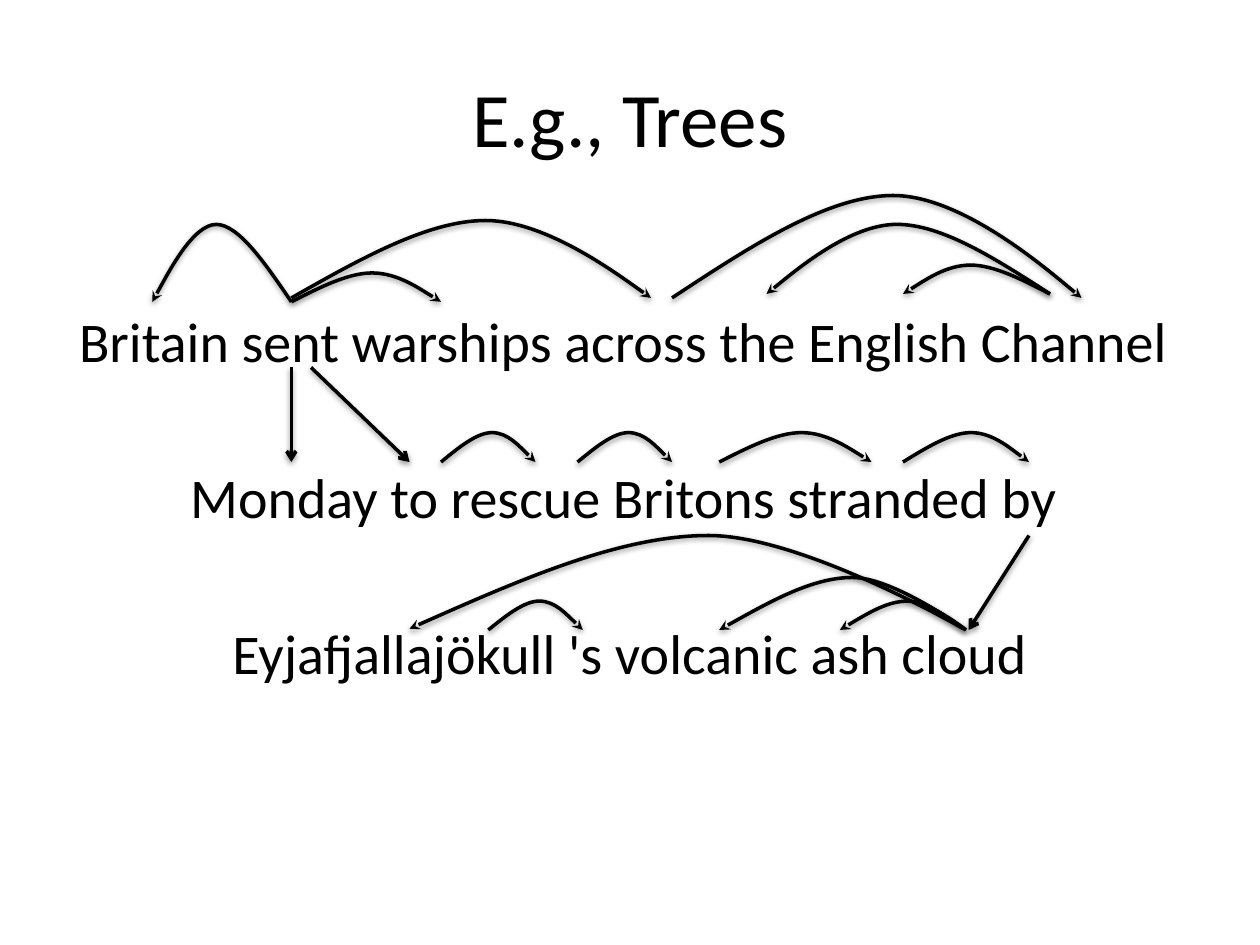
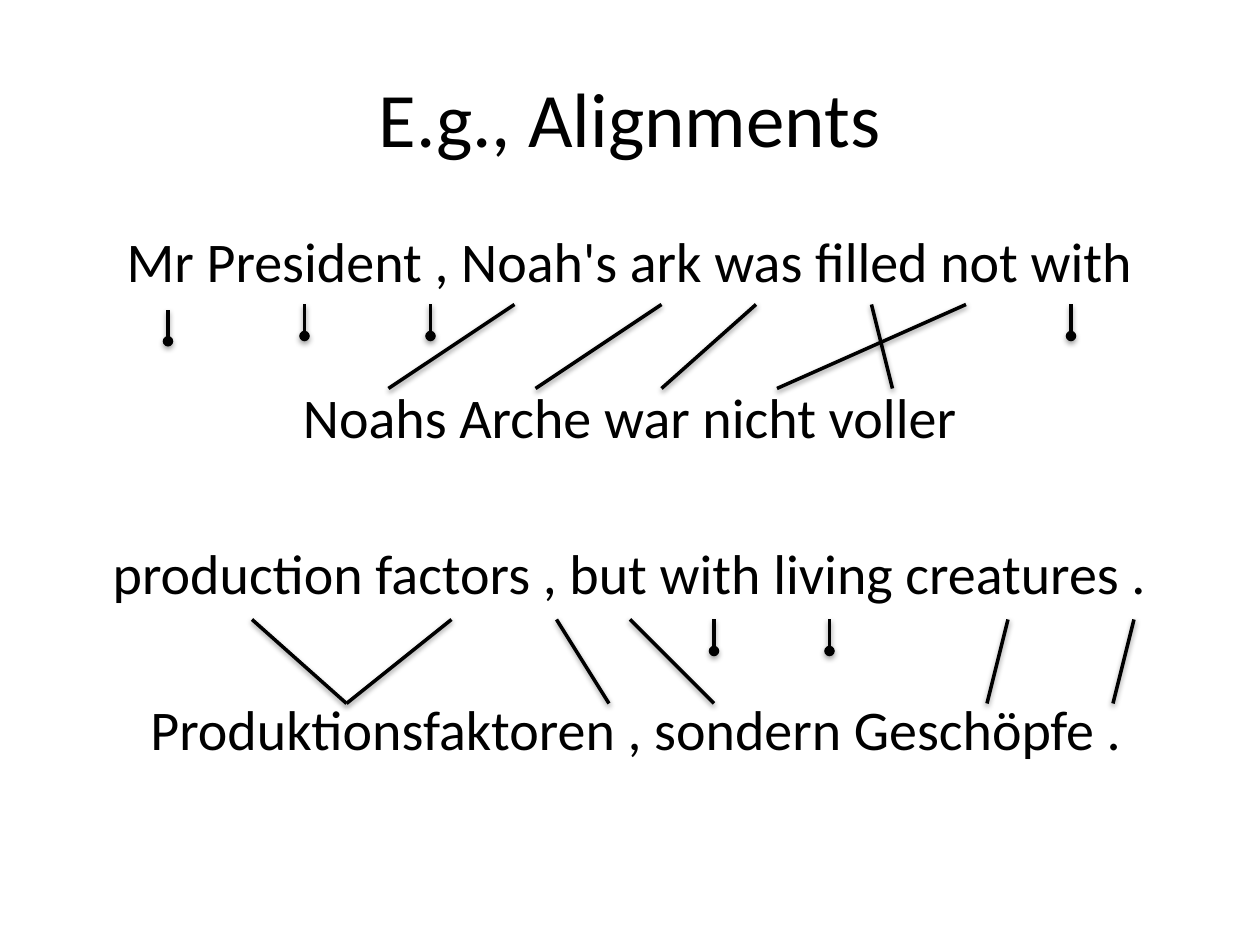
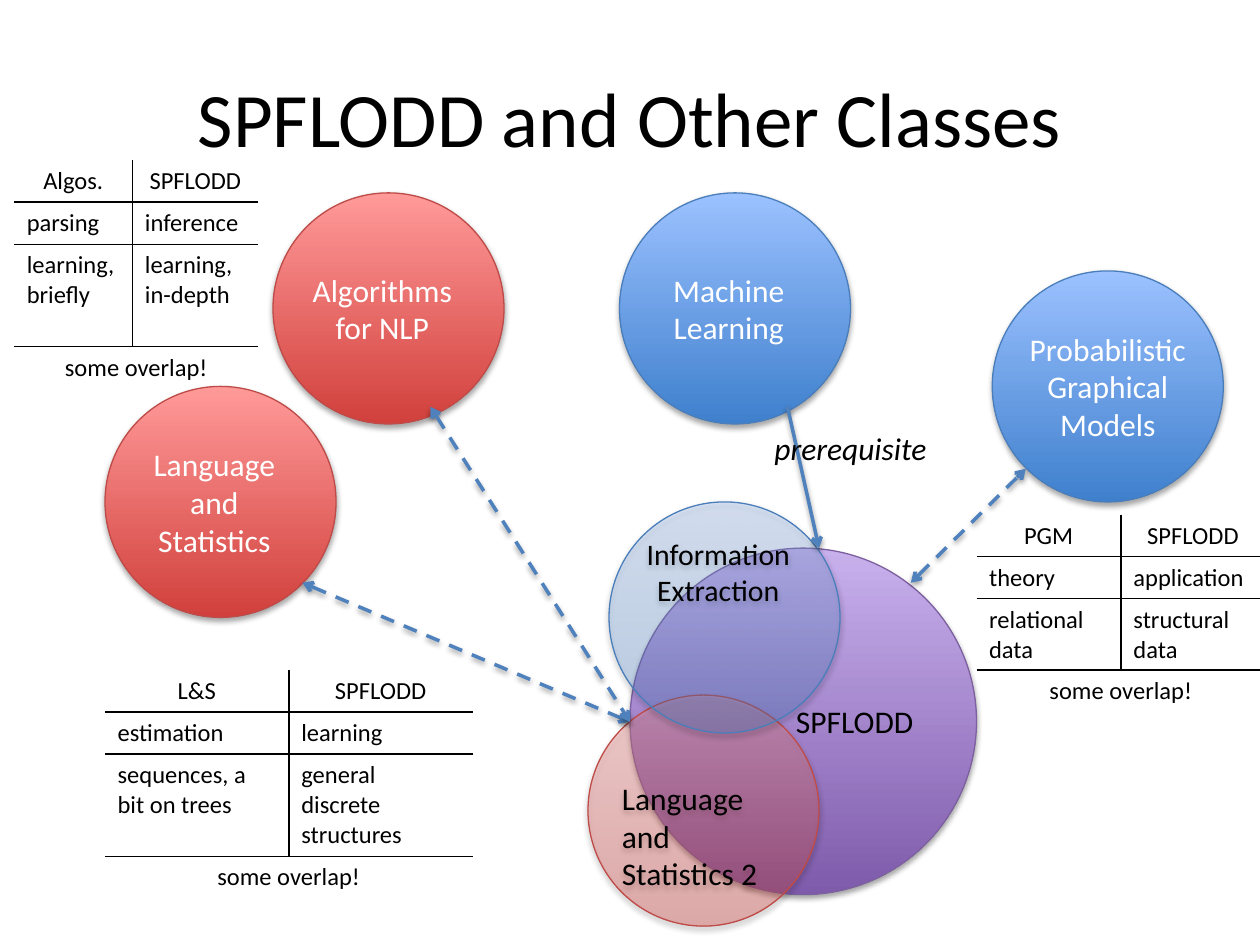
from typing import NamedTuple, Optional, Sequence

from pptx import Presentation
from pptx.dml.color import RGBColor
from pptx.enum.dml import MSO_LINE_DASH_STYLE as Dash
from pptx.enum.shapes import MSO_CONNECTOR as Connector, MSO_SHAPE as Preset
from pptx.enum.text import MSO_ANCHOR as Anchor, PP_ALIGN as Align
from pptx.oxml.ns import qn
from pptx.oxml.xmlchemy import OxmlElement
from pptx.util import Emu, Inches, Pt

SLIDE_WIDTH, SLIDE_HEIGHT = Inches(10), Inches(7.5)
COLUMNS = 240  # square grid: 240 columns by 180 rows
UNIT = SLIDE_WIDTH / COLUMNS

FONT = "Calibri"
BLACK = RGBColor(0x00, 0x00, 0x00)
WHITE = RGBColor(0xFF, 0xFF, 0xFF)
ARROW_BLUE = RGBColor(0x4F, 0x81, 0xBD)
NO_STYLE_TABLE = "{2D5ABB26-0587-4C30-8999-92F81FD0307C}"
LINE_SHADOW = (20000, 38)  # distance in EMU, opacity in percent
DISC_SHADOW = (23000, 35)
SENTENCE_GAP = Pt(50.65)


class Palette(NamedTuple):
    top: RGBColor
    bottom: RGBColor
    outline: RGBColor


RED = Palette(RGBColor(0xFF, 0x9A, 0x99), RGBColor(0xD1, 0x40, 0x3C), RGBColor(0xBE, 0x4B, 0x48))
BLUE = Palette(RGBColor(0x9B, 0xC1, 0xFF), RGBColor(0x3F, 0x80, 0xCD), RGBColor(0x4A, 0x7E, 0xBB))
PURPLE = Palette(RGBColor(0xC8, 0xB0, 0xED), RGBColor(0x7F, 0x5B, 0xAB), RGBColor(0x7D, 0x60, 0xA0))


class Line(NamedTuple):
    start: tuple[float, float]
    end: tuple[float, float]
    head: Optional[str] = None
    tail: Optional[str] = None
    color: RGBColor = BLACK
    dashed: bool = False


class Arc(NamedTuple):
    start: float
    end: float
    base: float
    top: float
    head: Optional[str] = None
    tail: Optional[str] = "stealth"


class Disc(NamedTuple):
    text: str
    left: float
    top: float
    palette: Palette
    diameter: float = 44
    color: RGBColor = WHITE
    size: float = 18
    align: Align = Align.CENTER
    anchor: Anchor = Anchor.MIDDLE
    right_inset: float = 2.4
    opacity: Optional[int] = None


class Comparison(NamedTuple):
    left: float
    top: float
    widths: tuple[float, float]
    detail_height: float
    rows: tuple[tuple[str, str], ...]


TREE_SENTENCES = (
    "Britain sent warships across the English Channel ",
    "Monday to rescue Britons stranded by ",
    "Eyjafjallajökull 's volcanic ash cloud",
)
TREE_ARCS = (
    Arc(55.5, 29, 57.5, 42.75),
    Arc(55.5, 84, 57.5, 52),
    Arc(55.5, 124, 56.75, 42),
    Arc(128, 206, 56.75, 37.25),
    Arc(200, 172, 56, 50.5),
    Arc(200, 146, 56, 42.75),
    *(Arc(start, end, 88, 82.4)
      for start, end in ((84, 102), (110, 128), (137, 166), (172, 196))),
    Arc(160, 184, 120, 114.5, "stealth", None),
    Arc(137, 184, 120, 110, "stealth", None),
    Arc(78, 183.5, 119.75, 102, "stealth", None),
    Arc(93, 111, 120, 114.5),
)
TREE_ARROWS = (
    Line((55.5, 70), (55.5, 88), tail="arrow"),
    Line((59.25, 70), (78, 88), tail="arrow"),
    Line((196, 102), (184.5, 120), tail="arrow"),
)

ALIGNMENT_SENTENCES = (
    "Mr President , Noah's ark was filled not with",
    "Noahs Arche war nicht voller",
    "production factors , but with living creatures .",
    " Produktionsfaktoren , sondern Geschöpfe .",
)
# Upper row of each sentence pair: (German column, English column) of its links
WORD_LINKS = {
    58: ((74, 98), (102, 126), (126, 144), (148, 184), (170, 166)),
    118: ((66, 48), (66, 86), (116, 106), (136, 120), (212, 216), (188, 192)),
}
UNALIGNED_WORDS = ((32, 59), (58, 58), (82, 58), (204, 58), (136, 118), (158, 118))
LINK_HEIGHT, PIN_HEIGHT = 16, 6

COMPARISONS = (
    Comparison(2.7, 30.5, (22.5, 24), 19.5, (
        ("Algos.", "SPFLODD"),
        ("parsing", "inference"),
        ("learning,\nbriefly", "learning,\nin-depth"),
    )),
    Comparison(20, 127.6, (35, 35), 19.5, (
        ("L&S", "SPFLODD"),
        ("estimation", "learning"),
        ("sequences, a bit on trees", "general discrete structures"),
    )),
    Comparison(186, 98, (27.5, 27.5), 13.6, (
        ("PGM", "SPFLODD"),
        ("theory", "application"),
        ("relational data", "structural data"),
    )),
)
VERDICT = "some overlap!"
TABLE_ROW = 8
DISCS = (
    Disc("SPFLODD", 120, 104.4, PURPLE, diameter=66, color=BLACK, align=Align.RIGHT),
    Disc("Machine Learning", 118, 36.75, BLUE),
    Disc("Language and Statistics", 20, 73.6, RED),
    Disc("Language and Statistics 2", 112, 132.4, RED, color=BLACK,
         align=Align.LEFT, anchor=Anchor.BOTTOM, opacity=34),
    Disc("Probabilistic Graphical Models", 189, 51.6, BLUE, right_inset=0),
    Disc("Algorithms for NLP", 52, 36.75, RED),
    Disc("Information Extraction", 116, 95.6, BLUE, color=BLACK, size=17,
         anchor=Anchor.TOP, opacity=28),
)
CLASS_ARROWS = (
    Line((150, 77.5), (156, 104.4), tail="arrow", color=ARROW_BLUE),
    *(Line(start, end, "arrow", "arrow", ARROW_BLUE, True)
      for start, end in (((57.6, 111), (120, 137.5)),
                         ((173.5, 111), (195.4, 89.3)),
                         ((82, 77.5), (120, 137.5)))),
)


def grid(count: float) -> Emu:
    """Length of a number of grid columns or rows."""
    return Emu(round(count * UNIT))


def add_element(parent, tag: str, **attributes):
    element = OxmlElement(tag)
    for name, value in attributes.items():
        element.set(name, str(value))
    parent.append(element)
    return element


def add_shadow(shape, distance: int, opacity: int) -> None:
    effects = add_element(shape._element.spPr, "a:effectLst")
    shadow = add_element(effects, "a:outerShdw", blurRad=40000, dist=distance,
                         dir=5400000, rotWithShape=0)
    color = add_element(shadow, "a:srgbClr", val=BLACK)
    add_element(color, "a:alpha", val=opacity * 1000)


def style_stroke(shape, stroke: Line | Arc, color: RGBColor = BLACK, dashed: bool = False) -> None:
    shape.line.color.rgb = color
    shape.line.width = Pt(2)
    if dashed:
        shape.line.dash_style = Dash.DASH
    outline = shape.line._get_or_add_ln()
    for tag, end_type in (("a:headEnd", stroke.head), ("a:tailEnd", stroke.tail)):
        if end_type:
            add_element(outline, tag, type=end_type)
    add_shadow(shape, *LINE_SHADOW)


def style_text(text_frame, size: float, color: RGBColor = BLACK,
               align: Align = Align.CENTER, italic: Optional[bool] = None) -> None:
    for paragraph in text_frame.paragraphs:
        paragraph.alignment = align
        for run in paragraph.runs:
            run.font.name = FONT
            run.font.size = Pt(size)
            run.font.color.rgb = color
            run.font.italic = italic


def add_text(slide, text: str, left: float, top: float, width: float, height: float,
             size: float, anchor: Anchor = Anchor.TOP, wrap: bool = True,
             italic: Optional[bool] = None):
    box = slide.shapes.add_textbox(grid(left), grid(top), grid(width), grid(height))
    text_frame = box.text_frame
    text_frame.word_wrap = wrap
    text_frame.vertical_anchor = anchor
    text_frame.text = text
    style_text(text_frame, size, italic=italic)
    return text_frame


def add_titled_slide(presentation, title: str):
    slide = presentation.slides.add_slide(presentation.slide_layouts[6])
    add_text(slide, title, 12, 7.2, 216, 30, 44, Anchor.MIDDLE)
    return slide


def add_sentences(slide, sentences: Sequence[str], top: float) -> None:
    text_frame = add_text(slide, "\n".join(sentences), 12, top, 216, 162 - top, 32)
    for paragraph in text_frame.paragraphs[1:]:
        paragraph.space_before = SENTENCE_GAP


def add_line(slide, line: Line) -> None:
    connector = slide.shapes.add_connector(
        Connector.STRAIGHT, *(grid(value) for value in (*line.start, *line.end)))
    style_stroke(connector, line, line.color, line.dashed)


def add_arc(slide, arc: Arc) -> None:
    """Draw a hump of two Bézier curves that meet just past the middle."""
    def point(share: float, row: float) -> tuple[Emu, Emu]:
        return grid(arc.start + share * (arc.end - arc.start)), grid(row)

    builder = slide.shapes.build_freeform(*point(0, arc.base), scale=1.0)
    builder.add_line_segments([
        point(0.19, (arc.base + arc.top) / 2), point(0.38, arc.top), point(0.54, arc.top),
        point(0.71, arc.top), point(1, arc.base), point(1, arc.base),
    ], close=False)
    shape = builder.convert_to_shape()
    segments = list(shape._element.iter(qn("a:lnTo")))
    for group in (segments[:3], segments[3:]):
        curve = OxmlElement("a:cubicBezTo")
        group[0].addprevious(curve)
        for segment in group:
            curve.append(segment[0])
            segment.getparent().remove(segment)
    shape.fill.background()
    style_stroke(shape, arc)


def add_disc(slide, disc: Disc) -> None:
    shape = slide.shapes.add_shape(Preset.OVAL, grid(disc.left), grid(disc.top),
                                   grid(disc.diameter), grid(disc.diameter))
    shape.fill.gradient()
    shape.fill.gradient_angle = 270
    for stop, color in zip(shape.fill.gradient_stops, disc.palette):
        stop.color.rgb = color
    if disc.opacity is not None:
        for color in shape._element.spPr.iter(qn("a:srgbClr")):
            add_element(color, "a:alpha", val=disc.opacity * 1000)
    shape.line.color.rgb = disc.palette.outline
    shape.line.width = Pt(0.75)
    add_shadow(shape, *DISC_SHADOW)
    text_frame = shape.text_frame
    text_frame.word_wrap = True
    text_frame.vertical_anchor = disc.anchor
    text_frame.margin_left = text_frame.margin_top = text_frame.margin_bottom = 0
    text_frame.margin_right = grid(disc.right_inset)
    text_frame.text = disc.text
    style_text(text_frame, disc.size, disc.color, disc.align)


def add_border(cell, tag: str) -> None:
    border = add_element(cell._tc.get_or_add_tcPr(), tag, w=Pt(1))
    add_element(add_element(border, "a:solidFill"), "a:srgbClr", val=BLACK)


def add_comparison(slide, comparison: Comparison) -> None:
    heights = (TABLE_ROW, TABLE_ROW, comparison.detail_height, TABLE_ROW)
    table = slide.shapes.add_table(
        len(heights), 2, grid(comparison.left), grid(comparison.top),
        grid(sum(comparison.widths)), grid(sum(heights))).table
    table.first_row = table.horz_banding = False
    table._tbl.tblPr.find(qn("a:tableStyleId")).text = NO_STYLE_TABLE
    for column, width in zip(table.columns, comparison.widths):
        column.width = grid(width)
    for row, height in zip(table.rows, heights):
        row.height = grid(height)
    last = len(heights) - 1
    table.cell(last, 0).merge(table.cell(last, 1))
    for row_index, texts in enumerate((*comparison.rows, (VERDICT,))):
        for column_index, text in enumerate(texts):
            cell = table.cell(row_index, column_index)
            cell.text = text
            centred = row_index in (0, last)
            style_text(cell.text_frame, 14, align=Align.CENTER if centred else Align.LEFT)
            if row_index < last:
                if column_index == 0:
                    add_border(cell, "a:lnR")
                add_border(cell, "a:lnB")
            cell.fill.background()


def build_trees(presentation) -> None:
    slide = add_titled_slide(presentation, "E.g., Trees")
    add_sentences(slide, TREE_SENTENCES, 57.25)
    for arc in TREE_ARCS:
        add_arc(slide, arc)
    for arrow in TREE_ARROWS:
        add_line(slide, arrow)


def build_alignments(presentation) -> None:
    slide = add_titled_slide(presentation, "E.g., Alignments")
    add_sentences(slide, ALIGNMENT_SENTENCES, 42)
    for row, links in WORD_LINKS.items():
        for german, english in links:
            add_line(slide, Line((german, row + LINK_HEIGHT), (english, row)))
    for column, row in UNALIGNED_WORDS:
        add_line(slide, Line((column, row + PIN_HEIGHT), (column, row), head="oval"))


def build_classes(presentation) -> None:
    slide = add_titled_slide(presentation, "SPFLODD and Other Classes")
    for comparison in COMPARISONS:
        add_comparison(slide, comparison)
    for disc in DISCS:
        add_disc(slide, disc)
    for arrow in CLASS_ARROWS:
        add_line(slide, arrow)
    add_text(slide, "prerequisite", 144.25, 80.6, 35.5, 9.6, 18, wrap=False, italic=True)


def main() -> None:
    presentation = Presentation()
    presentation.slide_width, presentation.slide_height = SLIDE_WIDTH, SLIDE_HEIGHT
    build_trees(presentation)
    build_alignments(presentation)
    build_classes(presentation)
    presentation.save("out.pptx")


if __name__ == "__main__":
    main()
